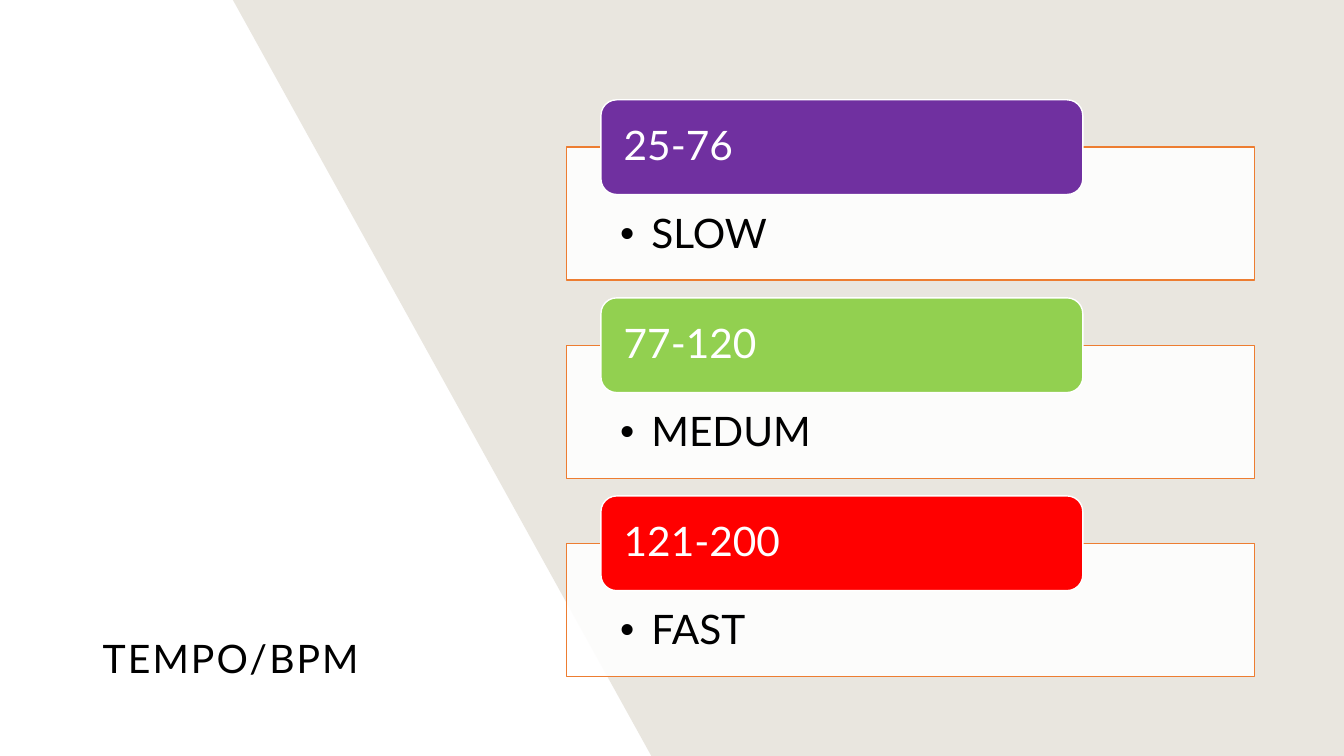
from dataclasses import dataclass
from typing import Any

import pptx
import pptx.dml.color
import pptx.enum.shapes
import pptx.enum.text
import pptx.oxml.ns
import pptx.util
from lxml import etree

Inches = pptx.util.Inches
Shapes = pptx.enum.shapes.MSO_SHAPE
Anchor = pptx.enum.text.MSO_ANCHOR
qn = pptx.oxml.ns.qn

PANEL_TOP, PANEL_PITCH = 1.46, 1.965
LABEL_RISE = 0.47

TITLE_FRAME = {"word_wrap": True, "vertical_anchor": Anchor.BOTTOM}
LABEL_FRAME = {
    "word_wrap": True, "vertical_anchor": Anchor.MIDDLE,
    "margin_left": Inches(0.18), "margin_right": Inches(0.18),
    "margin_top": 0, "margin_bottom": 0,
}
PANEL_FRAME = {
    "word_wrap": True, "vertical_anchor": Anchor.TOP,
    "margin_left": Inches(0.53), "margin_right": Inches(0.53),
    "margin_top": Inches(0.66), "margin_bottom": Inches(0.23),
}
PARAGRAPH = {"alignment": pptx.enum.text.PP_ALIGN.LEFT, "line_spacing": 0.9}


@dataclass(frozen=True)
class Tempo:
    beats: str
    pace: str
    color: str


TEMPOS = [
    Tempo("25-76", "SLOW", "7030A0"),
    Tempo("77-120", "MEDUM", "92D050"),
    Tempo("121-200", "FAST", "FF0000"),
]


def rgb(color: str) -> pptx.dml.color.RGBColor:
    return pptx.dml.color.RGBColor.from_string(color)


def apply_format(target: Any, values: dict[str, Any]) -> None:
    for name, value in values.items():
        setattr(target, name, value)


def paint(shape: Any, fill: str, line: str | None = None) -> None:
    shape.shadow.inherit = False
    shape.fill.solid()
    shape.fill.fore_color.rgb = rgb(fill)
    if line is None:
        shape.line.fill.background()
    else:
        shape.line.color.rgb = rgb(line)
        shape.line.width = pptx.util.Pt(1)


def set_opacity(shape: Any, percent: int) -> None:
    color = shape._element.spPr.find(qn("a:solidFill")).find(qn("a:srgbClr"))
    etree.SubElement(color, qn("a:alpha")).set("val", str(percent * 1000))


def add_bullet(paragraph: Any, indent: float) -> None:
    properties = paragraph._p.get_or_add_pPr()
    properties.set("marL", str(Inches(indent)))
    properties.set("indent", str(-Inches(indent)))
    etree.SubElement(properties, qn("a:buFont")).set("typeface", "Arial")
    etree.SubElement(properties, qn("a:buChar")).set("char", "•")


def write(shape: Any, text: str, frame: dict[str, Any], size: int, color: str,
          bullet_indent: float = 0, tracking: float = 0) -> None:
    apply_format(shape.text_frame, frame)
    paragraph = shape.text_frame.paragraphs[0]
    apply_format(paragraph, PARAGRAPH)
    if bullet_indent:
        add_bullet(paragraph, bullet_indent)
    run = paragraph.add_run()
    run.text = text
    apply_format(run.font, {"name": "Lato", "size": pptx.util.Pt(size)})
    run.font.color.rgb = rgb(color)
    if tracking:
        run._r.get_or_add_rPr().set("spc", str(round(tracking * 100)))


def add_backdrop(slide: Any) -> None:
    outline = slide.shapes.build_freeform(Inches(6.46), Inches(7.5))
    corners = [(2.31, 0), (13.33, 0), (13.33, 7.5)]
    outline.add_line_segments([(Inches(x), Inches(y)) for x, y in corners])
    paint(outline.convert_to_shape(), "E9E6DF")


def add_tempo(slide: Any, tempo: Tempo, top: float) -> None:
    panel = slide.shapes.add_shape(
        Shapes.RECTANGLE, Inches(5.62), Inches(top), Inches(6.82), Inches(1.32))
    paint(panel, "FFFFFF", "ED7D31")
    set_opacity(panel, 90)
    write(panel, tempo.pace, PANEL_FRAME, 29, "000000", bullet_indent=0.31)

    label = slide.shapes.add_shape(
        Shapes.ROUNDED_RECTANGLE, Inches(5.96), Inches(top - LABEL_RISE),
        Inches(4.78), Inches(0.94))
    paint(label, tempo.color, "FFFFFF")
    write(label, tempo.beats, LABEL_FRAME, 29, "FFFFFF")


def main() -> None:
    deck = pptx.Presentation()
    deck.slide_width, deck.slide_height = Inches(13.33), Inches(7.5)
    slide = deck.slides.add_slide(deck.slide_layouts[6])
    add_backdrop(slide)
    title = slide.shapes.add_textbox(
        Inches(0.92), Inches(5.77), Inches(4.7), Inches(1.04))
    write(title, "TEMPO/BPM", TITLE_FRAME, 28, "000000", tracking=1.5)
    for row, tempo in enumerate(TEMPOS):
        add_tempo(slide, tempo, PANEL_TOP + row * PANEL_PITCH)
    deck.save("out.pptx")


if __name__ == "__main__":
    main()
